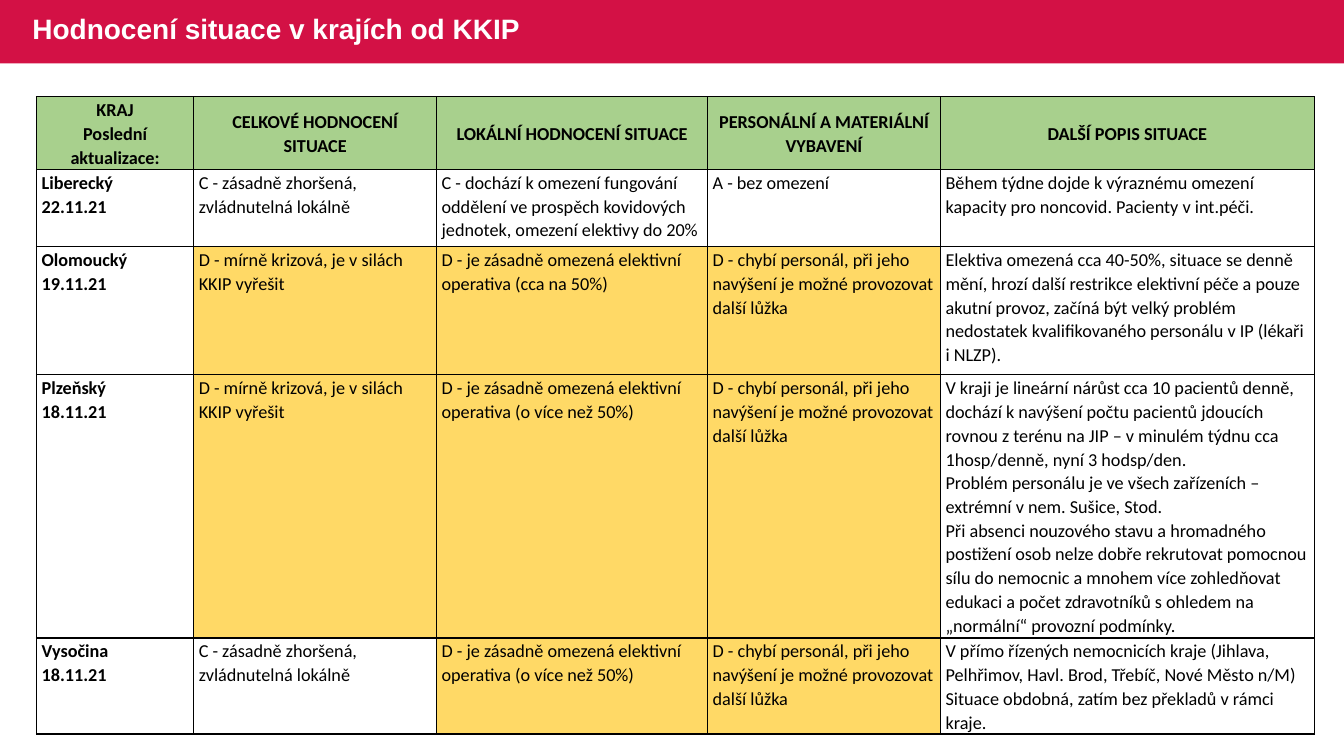
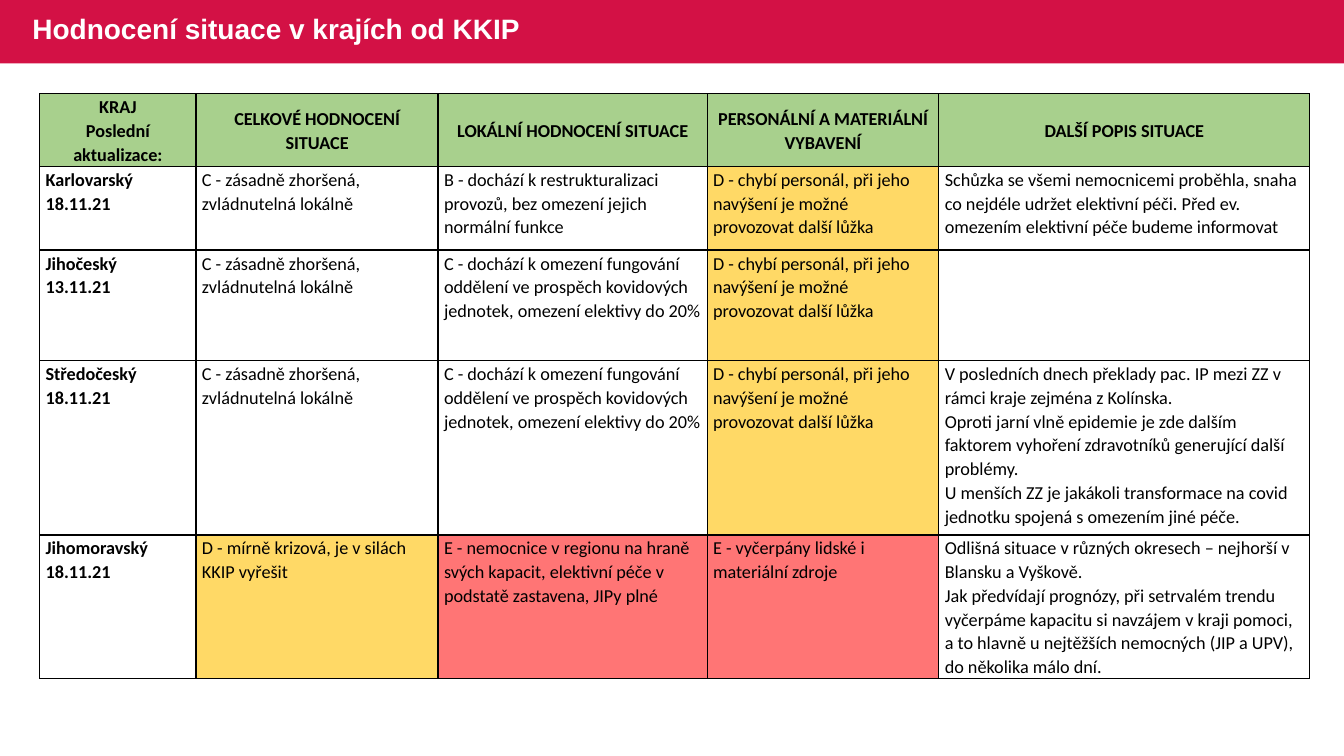
from lxml.etree import SubElement
from pptx import Presentation
from pptx.dml.color import RGBColor
from pptx.enum.shapes import MSO_SHAPE
from pptx.enum.text import MSO_ANCHOR, MSO_AUTO_SIZE, PP_ALIGN
from pptx.oxml.ns import qn
from pptx.util import Cm, Pt

# Shared wording
TITLE = "Hodnocení situace v krajích od KKIP"
HEADS = [
    "KRAJ\nPoslední aktualizace:",
    "CELKOVÉ HODNOCENÍ SITUACE",
    "LOKÁLNÍ HODNOCENÍ SITUACE",
    "PERSONÁLNÍ A MATERIÁLNÍ VYBAVENÍ",
    "DALŠÍ POPIS SITUACE",
]
WORSE = "C - zásadně zhoršená, zvládnutelná lokálně"
CRISIS = "D - mírně krizová, je v silách KKIP vyřešit"
LIMIT = ("C - dochází k omezení fungování oddělení ve prospěch kovidových "
         "jednotek, omezení elektivy do 20%")
HALF = "D - je zásadně omezená elektivní operativa (o více než 50%)"
STAFF = "D - chybí personál, při jeho navýšení je možné provozovat další lůžka"

# Region and date, overall, local, staff, details
FIRST = [
    ["Liberecký\n22.11.21", WORSE, LIMIT, "A - bez omezení",
     "Během týdne dojde k výraznému omezení kapacity pro noncovid. "
     "Pacienty v int.péči."],
    ["Olomoucký\n19.11.21", CRISIS,
     "D - je zásadně omezená elektivní operativa (cca na 50%)", STAFF,
     "Elektiva omezená cca 40-50%, situace se denně mění, hrozí další "
     "restrikce elektivní péče a pouze akutní provoz, začíná být velký "
     "problém nedostatek kvalifikovaného personálu v IP (lékaři i NLZP)."],
    ["Plzeňský\n18.11.21", CRISIS, HALF, STAFF,
     "V kraji je lineární nárůst cca 10 pacientů denně, dochází k navýšení "
     "počtu pacientů jdoucích rovnou z terénu na JIP – v minulém týdnu cca "
     "1hosp/denně, nyní 3 hodsp/den.\n"
     "Problém personálu je ve všech zařízeních – extrémní v nem. Sušice, "
     "Stod.\n"
     "Při absenci nouzového stavu a hromadného postižení osob nelze dobře "
     "rekrutovat pomocnou sílu do nemocnic a mnohem více zohledňovat edukaci "
     "a počet zdravotníků s ohledem na „normální“ provozní podmínky."],
    ["Vysočina\n18.11.21", WORSE, HALF, STAFF,
     "V přímo řízených nemocnicích kraje (Jihlava, Pelhřimov, Havl. Brod, "
     "Třebíč, Nové Město n/M)\n"
     "Situace obdobná, zatím bez překladů v rámci kraje."],
]
SECOND = [
    ["Karlovarský\n18.11.21", WORSE,
     "B - dochází k restrukturalizaci provozů, bez omezení jejich normální "
     "funkce", STAFF,
     "Schůzka se všemi nemocnicemi proběhla, snaha co nejdéle udržet "
     "elektivní péči. Před ev. omezením elektivní péče budeme informovat"],
    ["Jihočeský\n13.11.21", WORSE, LIMIT, STAFF, ""],
    ["Středočeský\n18.11.21", WORSE, LIMIT, STAFF,
     "V posledních dnech překlady pac. IP mezi ZZ v rámci kraje zejména "
     "z Kolínska.\n"
     "Oproti jarní vlně epidemie je zde dalším faktorem vyhoření zdravotníků "
     "generující další problémy.\n"
     "U menších ZZ je jakákoli transformace na covid jednotku spojená "
     "s omezením jiné péče."],
    ["Jihomoravský\n18.11.21", CRISIS,
     "E - nemocnice v regionu na hraně svých kapacit, elektivní péče "
     "v podstatě zastavena, JIPy plné",
     "E - vyčerpány lidské i materiální zdroje",
     "Odlišná situace v různých okresech – nejhorší v Blansku a Vyškově.\n"
     "Jak předvídají prognózy, při setrvalém trendu vyčerpáme kapacitu si "
     "navzájem v kraji pomoci, a to hlavně u nejtěžších nemocných (JIP a "
     "UPV), do několika málo dní."],
]


def color(code):
    return RGBColor.from_string(code)


def write(frame, text, font="Calibri", size=13, ink="000000", bold=False,
          align=PP_ALIGN.LEFT, space=1.07):
    """Fill a text frame, one paragraph for each line of text."""
    frame.word_wrap = True
    for i, line in enumerate(text.split("\n")):
        par = frame.add_paragraph() if i else frame.paragraphs[0]
        par.alignment = align
        par.line_spacing = space
        if not line:
            par.font.size = Pt(size)
            continue
        run = par.add_run()
        run.text = line
        run.font.name = font
        run.font.size = Pt(size)
        run.font.bold = bold
        run.font.color.rgb = color(ink)


class Deck:
    RED, WHITE, BLACK, GREEN = "D31145", "FFFFFF", "000000", "A8D08D"
    GRADES = {"D": "FFD966", "E": "FF7575"}
    WIDTH, BAND = Cm(33.87), Cm(1.6)

    def __init__(self):
        self.prs = Presentation()
        self.prs.slide_width, self.prs.slide_height = self.WIDTH, Cm(19.05)
        self.layout = self.prs.slide_layouts[5]
        self.slide = None

    def page(self, text):
        self.slide = self.prs.slides.add_slide(self.layout)
        if len(self.prs.slides) == 1:
            self.band()
        self.title(text)

    def band(self):
        # Drawn once, then moved to the layout behind its title
        bar = self.slide.shapes.add_shape(
            MSO_SHAPE.RECTANGLE, 0, 0, self.WIDTH, self.BAND)
        bar.shadow.inherit = False
        bar.fill.solid()
        bar.fill.fore_color.rgb = color(self.RED)
        bar.line.fill.background()
        self.layout.placeholders[0].element.addprevious(bar.element)

    def title(self, text):
        box = self.slide.shapes.title
        box.left, box.top = Cm(0.56), Cm(-0.03)
        box.width, box.height = Cm(20.68), self.BAND
        frame = box.text_frame
        frame.auto_size = MSO_AUTO_SIZE.NONE
        frame.vertical_anchor = MSO_ANCHOR.MIDDLE
        write(frame, text, font="Arial", size=20, ink=self.WHITE, bold=True,
              space=0.9)

    def table(self, rows, left, top, widths, heights, inset):
        rows = [HEADS] + rows
        grid = self.slide.shapes.add_table(
            len(rows), len(widths), Cm(left), Cm(top),
            Cm(sum(widths)), Cm(sum(heights))).table
        grid.first_row = grid.horz_banding = False
        for col, width in zip(grid.columns, widths):
            col.width = Cm(width)
        for row, height in zip(grid.rows, heights):
            row.height = Cm(height)
        for r, row in enumerate(rows):
            for c, text in enumerate(row):
                self.cell(grid.cell(r, c), text, inset, r == 0, c)

    def cell(self, cell, text, inset, head, col):
        cell.margin_left = cell.margin_right = Cm(inset)
        cell.margin_top, cell.margin_bottom = Cm(0.03), 0
        cell.vertical_anchor = MSO_ANCHOR.MIDDLE if head else MSO_ANCHOR.TOP
        self.border(cell)
        # The grade letter of a rating sets its fill
        grade = text[:1] if 1 <= col <= 3 else ""
        fill = self.GREEN if head else self.GRADES.get(grade)
        if fill:
            cell.fill.solid()
            cell.fill.fore_color.rgb = color(fill)
        else:
            cell.fill.background()
        write(cell.text_frame, text, bold=head or col == 0,
              align=PP_ALIGN.CENTER if head else PP_ALIGN.LEFT)

    def border(self, cell):
        props = cell._tc.get_or_add_tcPr()
        for side in "LRTB":
            line = SubElement(props, qn("a:ln" + side), w=str(Pt(1)))
            fill = SubElement(line, qn("a:solidFill"))
            SubElement(fill, qn("a:srgbClr"), val=self.BLACK)


def main():
    deck = Deck()

    # First four regions
    deck.page(TITLE)
    deck.table(FIRST, 0.92, 2.44, [3.96, 6.12, 6.83, 5.87, 9.42],
               [1.8, 1.95, 3.23, 6.63, 2.41], 0.13)

    # Other four regions
    deck.page(TITLE)
    deck.table(SECOND, 1, 2.36, [3.94, 6.1, 6.78, 5.84, 9.35],
               [1.83, 2.11, 2.79, 4.39, 3.61], 0.15)

    deck.prs.save("out.pptx")


if __name__ == "__main__":
    main()
